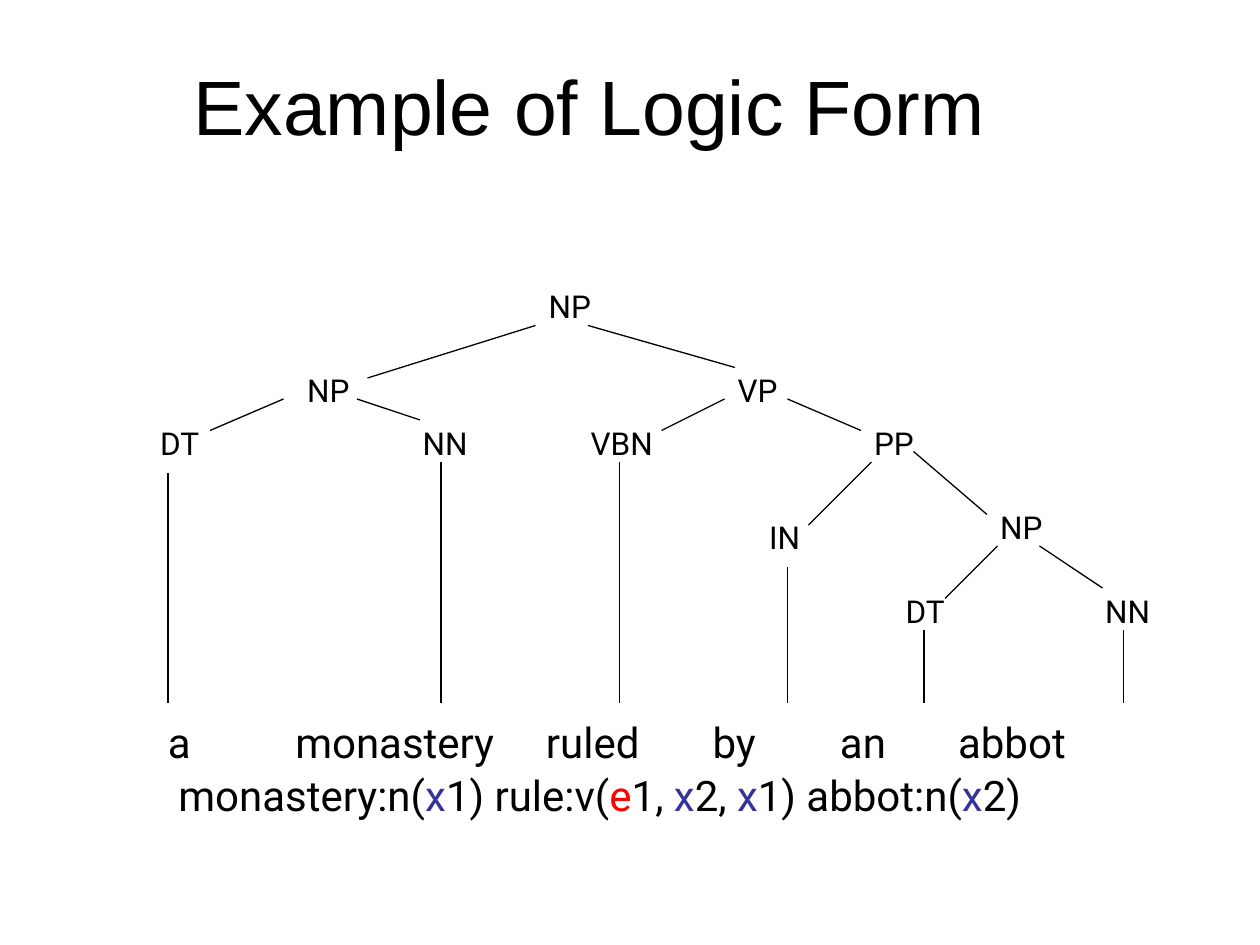
"""Build a slide with the parse tree and logic form of a noun phrase."""
from lxml import etree
from pptx import Presentation
from pptx.dml.color import RGBColor
from pptx.enum.shapes import MSO_CONNECTOR
from pptx.enum.text import MSO_ANCHOR, MSO_AUTO_SIZE, PP_ALIGN
from pptx.oxml.ns import qn
from pptx.util import Pt

PX = 9525
STRAIGHT = MSO_CONNECTOR.STRAIGHT
BOTTOM = MSO_ANCHOR.BOTTOM
NO_FIT = MSO_AUTO_SIZE.NONE
CENTER = PP_ALIGN.CENTER
BLACK, BLUE, RED = "000000", "333399", "FF0000"


def rgb(color):
    return RGBColor.from_string(color)


def write(sp, box, runs, size=18, font="Roboto", align=None, spacing=0.96, inset=10):
    sp.left, sp.top, sp.width, sp.height = [v * PX for v in box]
    tf = sp.text_frame
    tf.word_wrap = True
    tf.auto_size = NO_FIT
    tf.margin_left = inset * PX
    p = tf.paragraphs[0]
    p.alignment = align
    p.line_spacing = spacing
    for text, color in runs:
        r = p.add_run()
        r.text = text
        r.font.size = Pt(size)
        r.font.name = font
        r.font.color.rgb = rgb(color)
    return tf


prs = Presentation()
prs.slide_width, prs.slide_height = 960 * PX, 720 * PX
slide = prs.slides.add_slide(prs.slide_layouts[5])
shapes = slide.shapes

tf = write(shapes.title, (40, 0, 818, 120), [("Example of Logic Form", BLACK)],
           size=44, font="Arial", align=CENTER, spacing=1.0)
tf.vertical_anchor = BOTTOM

nodes = [
    ("NP", 408, 216), ("NP", 224, 280), ("VP", 552, 280), ("DT", 112, 320),
    ("NN", 312, 320), ("VBN", 440, 320), ("PP", 656, 320), ("IN", 576, 392),
    ("NP", 752, 384), ("DT", 680, 448), ("NN", 832, 448),
]
for tag, x, y in nodes:
    width = 72 if len(tag) > 2 else 56
    write(shapes.add_textbox(0, 0, 0, 0), (x, y, width, 37), [(tag, BLACK)])

branches = [
    (408, 248, 280, 288), (216, 304, 160, 328), (448, 248, 560, 280),
    (272, 304, 320, 320), (552, 304, 504, 328), (600, 304, 656, 328),
    (664, 352, 616, 400), (696, 344, 752, 392), (760, 416, 720, 456),
    (792, 416, 840, 448),
]
stem_tops = [(128, 360), (336, 352), (472, 352), (600, 432), (704, 480), (856, 480)]
stems = [(x, y, x, 536) for x, y in stem_tops]
for ends in branches + stems:
    line = shapes.add_connector(STRAIGHT, *[v * PX for v in ends])
    line.line.color.rgb = rgb(BLACK)
    line.line.width = Pt(0.75)
    etree.SubElement(line._element.spPr, qn("a:effectLst"))

words = ["a", "monastery", "ruled", "by", "an", "abbot"]
tf = write(shapes.add_textbox(0, 0, 0, 0), (96, 544, 816, 84),
           [("\t".join(words), BLACK)], size=24, inset=32)
tabs = etree.SubElement(tf.paragraphs[0]._p.get_or_add_pPr(), qn("a:tabLst"))
for stop in (97, 288, 415, 512, 602):
    etree.SubElement(tabs, qn("a:tab"), pos=str(stop * PX), algn="l")

logic_form = [
    ("monastery:n(", BLACK), ("x", BLUE), ("1) rule:v(", BLACK), ("e", RED),
    ("1, ", BLACK), ("x", BLUE), ("2, ", BLACK), ("x", BLUE),
    ("1) abbot:n(", BLACK), ("x", BLUE), ("2)", BLACK),
]
write(shapes.add_textbox(0, 0, 0, 0), (96, 584, 816, 84), logic_form, size=24, inset=40)

prs.save("out.pptx")
